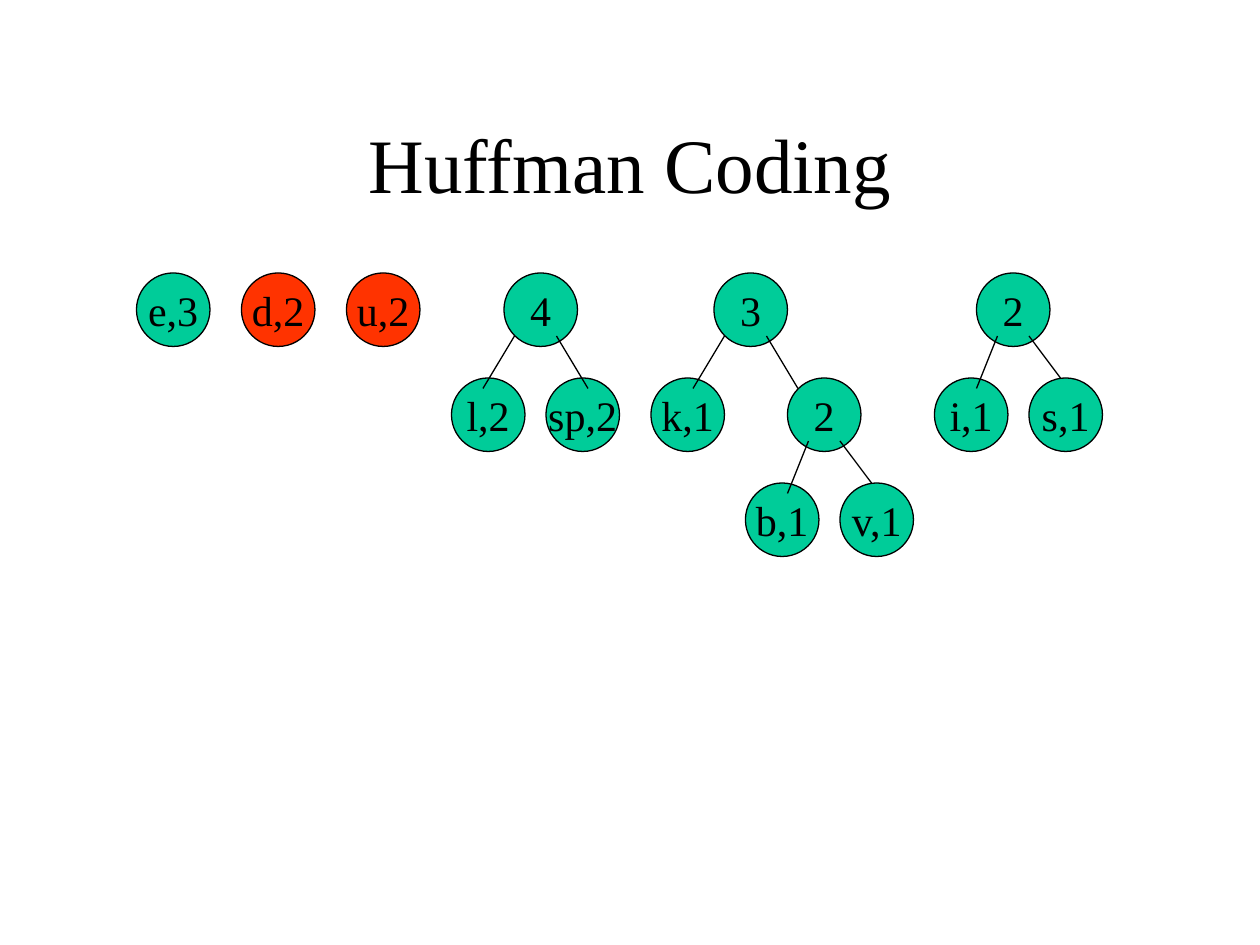
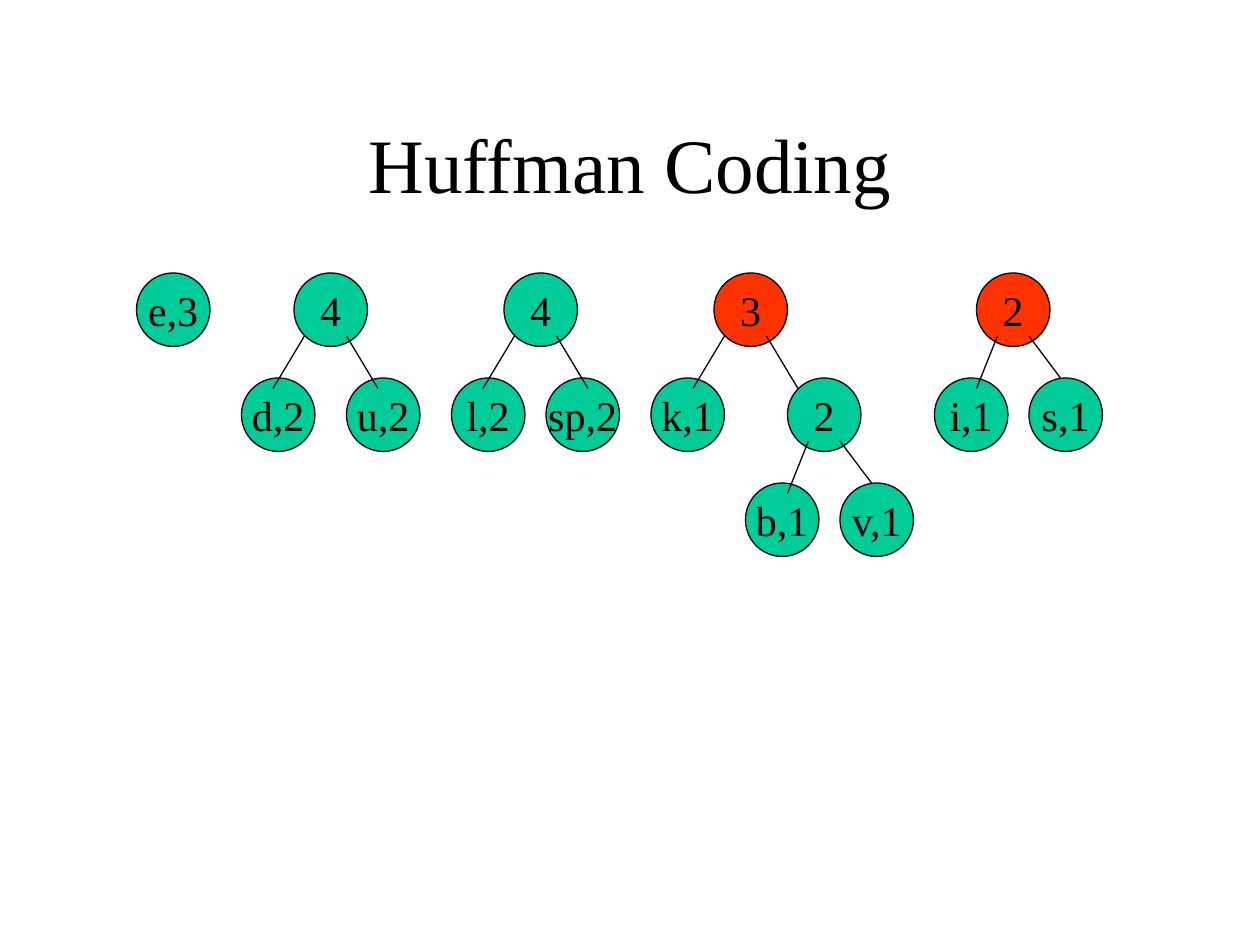
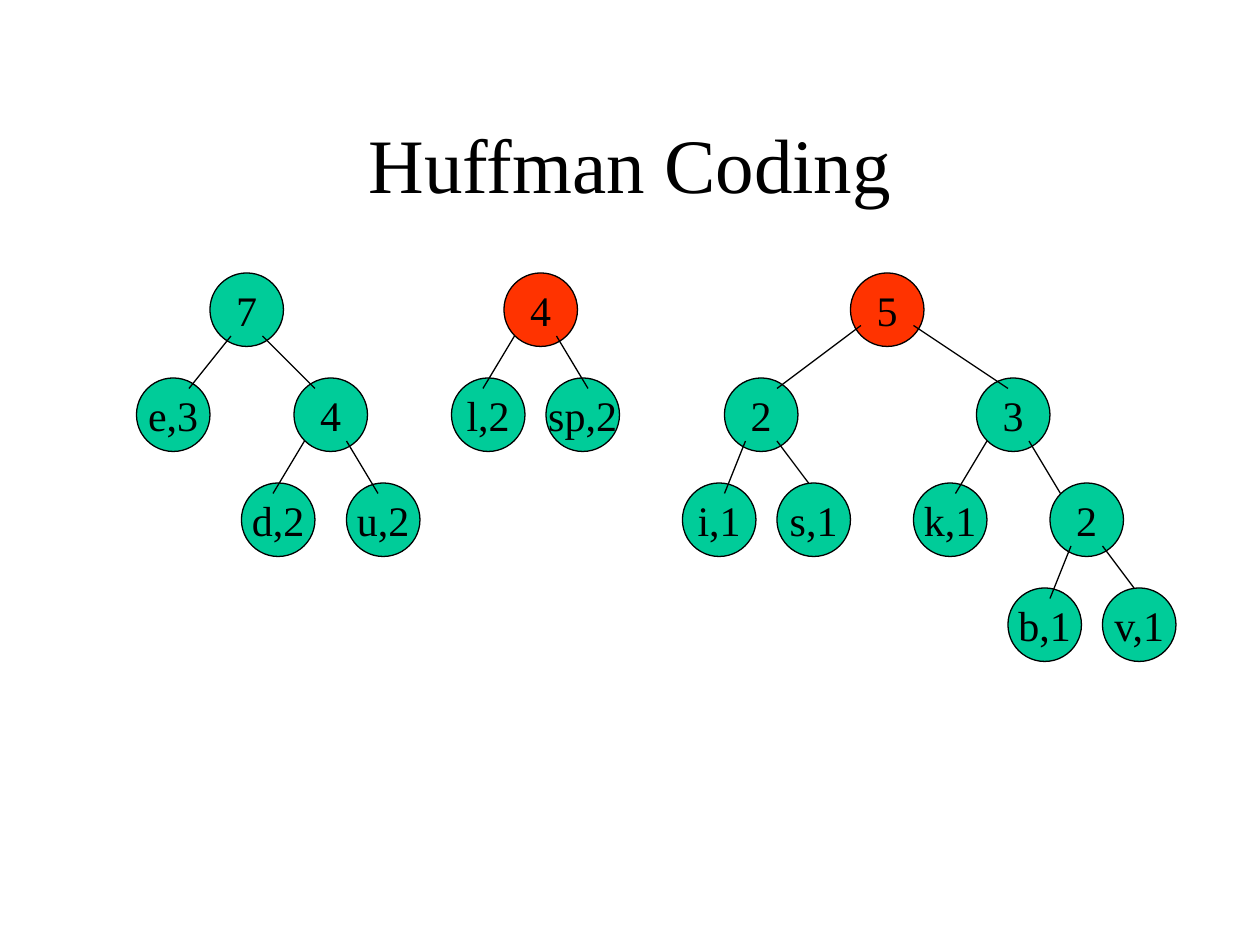
"""Builds three slides that show successive merges of Huffman coding trees."""
from dataclasses import dataclass

from lxml import etree
from pptx import Presentation
from pptx.dml.color import RGBColor
from pptx.enum.shapes import MSO_CONNECTOR, MSO_SHAPE
from pptx.enum.text import MSO_ANCHOR, PP_ALIGN
from pptx.oxml.ns import qn
from pptx.util import Pt

OVAL = MSO_SHAPE.OVAL
STRAIGHT = MSO_CONNECTOR.STRAIGHT
MIDDLE = MSO_ANCHOR.MIDDLE
CENTER = PP_ALIGN.CENTER


@dataclass(frozen=True)
class Theme:
    font: str = "Times New Roman"
    title_size: int = 44
    node_size: int = 24
    line_width: float = 0.75
    ink: RGBColor = RGBColor(0x00, 0x00, 0x00)
    node: RGBColor = RGBColor(0x00, 0xCC, 0x99)
    merging: RGBColor = RGBColor(0xFF, 0x33, 0x00)


@dataclass(frozen=True)
class Tree:
    label: str
    children: tuple = ()
    offsets: tuple = ()
    edges: tuple = ()


THEME = Theme()
EMU_PER_PX = 9525
SLIDE_SIZE = (960, 720)
TITLE = "Huffman Coding"
TITLE_BOX = (72, 64, 816, 120)
DIAMETER = 56
TOP = 208
LEVEL = 80

# Edges run from and to points measured from the parent's top left corner.
STEEP = ((16, 48, 0, 88), (40, 48, 64, 80))
EVEN = ((8, 48, -16, 88), (40, 48, 64, 88))
BROAD = ((16, 48, -16, 88), (40, 48, 80, 88))
WIDE = ((8, 40, -56, 88), (48, 40, 120, 88))

E, D, U, L, SP, K, I, S, B, V = map(
    Tree, ("e,3", "d,2", "u,2", "l,2", "sp,2", "k,1", "i,1", "s,1", "b,1", "v,1"))
IS = Tree("2", (I, S), (-32, 40), STEEP)
BV = Tree("2", (B, V), (-32, 40), STEEP)
KBV = Tree("3", (K, BV), (-48, 56), EVEN)
LSP = Tree("4", (L, SP), (-40, 32), EVEN)
DU = Tree("4", (D, U), (-40, 40), EVEN)
ISKBV = Tree("5", (IS, KBV), (-96, 96), WIDE)
EDU = Tree("7", (E, DU), (-56, 64), BROAD)

SLIDES = [
    [(E, 104, THEME.node), (D, 184, THEME.merging), (U, 264, THEME.merging),
     (LSP, 384, THEME.node), (KBV, 544, THEME.node), (IS, 744, THEME.node)],
    [(E, 104, THEME.node), (DU, 224, THEME.node), (LSP, 384, THEME.node),
     (KBV, 544, THEME.merging), (IS, 744, THEME.merging)],
    [(EDU, 160, THEME.node), (LSP, 384, THEME.merging), (ISKBV, 648, THEME.merging)],
]


def px(*lengths):
    return [length * EMU_PER_PX for length in lengths]


def write(sp, text, size, wrap):
    tf = sp.text_frame
    tf.word_wrap = wrap
    tf.vertical_anchor = MIDDLE
    p = tf.paragraphs[0]
    p.alignment = CENTER
    r = p.add_run()
    r.text = text
    r.font.name = THEME.font
    r.font.size = Pt(size)
    r.font.color.rgb = THEME.ink


def outline(sp):
    sp.line.color.rgb = THEME.ink
    sp.line.width = Pt(THEME.line_width)


def add_node(s, label, x, y, color):
    sp = s.shapes.add_shape(OVAL, *px(x, y, DIAMETER, DIAMETER))
    sp.shadow.inherit = False
    sp.fill.solid()
    sp.fill.fore_color.rgb = color
    outline(sp)
    write(sp, label, THEME.node_size, False)


def add_edge(s, x, y, edge):
    x1, y1, x2, y2 = edge
    line = s.shapes.add_connector(STRAIGHT, *px(x + x1, y + y1, x + x2, y + y2))
    outline(line)
    etree.SubElement(line._element.spPr, qn("a:effectLst"))


def add_tree(s, tree, x, y, color):
    for child, dx in zip(tree.children, tree.offsets):
        add_tree(s, child, x + dx, y + LEVEL, THEME.node)
    add_node(s, tree.label, x, y, color)
    for edge in tree.edges:
        add_edge(s, x, y, edge)


def main():
    prs = Presentation()
    prs.slide_width, prs.slide_height = px(*SLIDE_SIZE)
    for forest in SLIDES:
        s = prs.slides.add_slide(prs.slide_layouts[6])
        write(s.shapes.add_textbox(*px(*TITLE_BOX)), TITLE, THEME.title_size, True)
        for tree, x, color in forest:
            add_tree(s, tree, x, TOP, color)
    prs.save("out.pptx")


if __name__ == "__main__":
    main()
